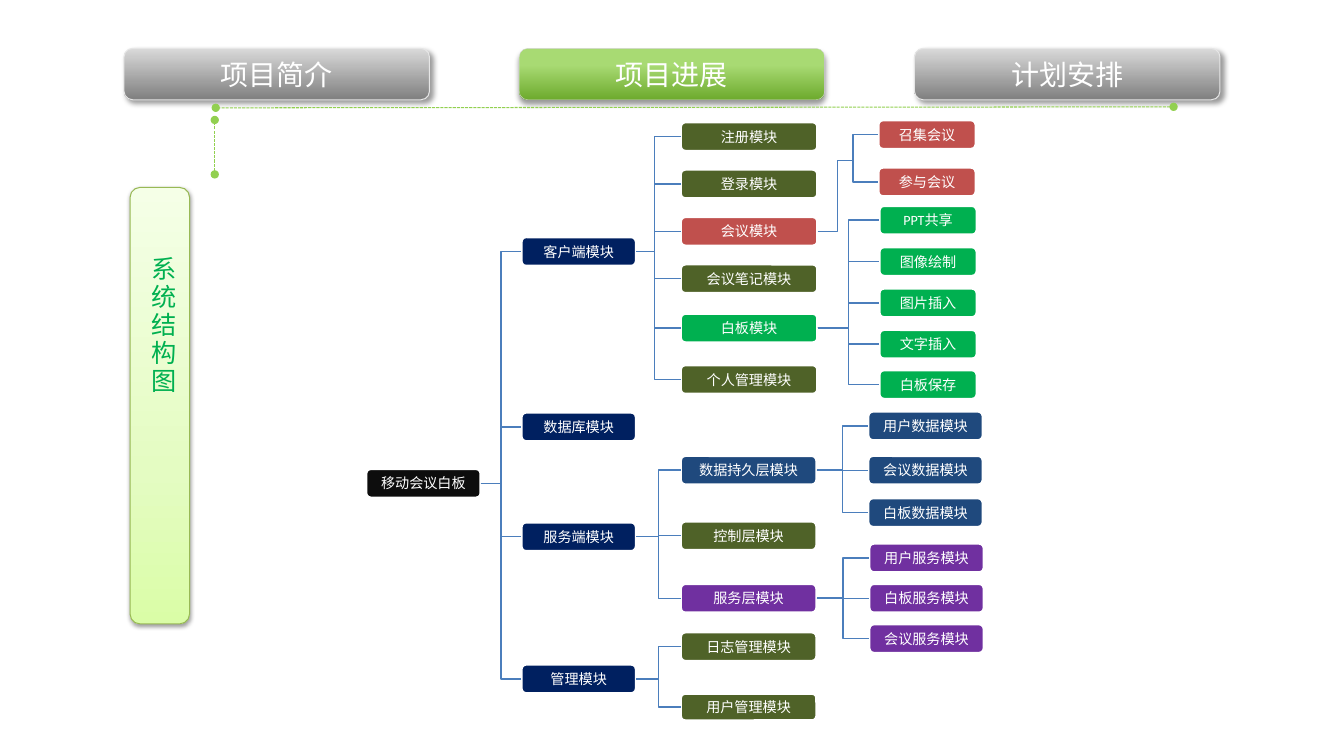
import lxml.etree
import pptx
import pptx.dml.color
import pptx.enum.dml
import pptx.enum.shapes
import pptx.enum.text
import pptx.oxml.ns
import pptx.util

PX = 9144
CJK = "Noto Sans CJK SC"
RIGHT_SITE, LEFT_SITE = 3, 1
NAVY, OLIVE, RED, GREEN, BLUE, PURPLE = "002060", "4F6228", "C0504D", "00B050", "1F497D", "7030A0"
GREY_FADE = [(0, "D9D9D9"), (100, "808080")]
GREEN_FADE = [(33, "A8DA73"), (100, "6DAA2D")]
LIME_FADE = [(0, "F5FFE7"), (65, "E4FCC2"), (100, "DAFDA7")]


def rgb(value):
    return pptx.dml.color.RGBColor.from_string(value)


def add(parent, tag, **attrs):
    child = lxml.etree.SubElement(parent, pptx.oxml.ns.qn(tag))
    for key, value in attrs.items():
        child.set(key, str(value))
    return child


class Deck:
    def __init__(self):
        self.prs = pptx.Presentation()
        self.prs.slide_width, self.prs.slide_height = 1333 * PX, 750 * PX
        self.s = self.prs.slides.add_slide(self.prs.slide_layouts[5])

    def label(self, sp, text, size, color, font):
        p = sp.text_frame.paragraphs[0]
        p.text = text
        p.alignment = pptx.enum.text.PP_ALIGN.CENTER
        p.font.size = pptx.util.Pt(size)
        p.font.bold = False
        p.font.color.rgb = rgb(color)
        p.font.name = font
        if font == CJK:
            add(p.font._element, "a:ea", typeface=font)
        return p

    def box(self, x, y, w, h, line, weight):
        sp = self.s.shapes.add_shape(
            pptx.enum.shapes.MSO_SHAPE.ROUNDED_RECTANGLE, x * PX, y * PX, w * PX, h * PX)
        sp.line.color.rgb = rgb(line)
        sp.line.width = pptx.util.Pt(weight)
        sp.shadow.inherit = False
        tf = sp.text_frame
        tf.word_wrap = True
        tf.vertical_anchor = pptx.enum.text.MSO_ANCHOR.MIDDLE
        return sp

    def glossy(self, x, y, w, h, fade, line, weight, blur, distance, angle, alpha):
        sp = self.box(x, y, w, h, line, weight)
        sp.fill.gradient()
        sp.fill.gradient_angle = 270
        stops = sp._element.xpath(".//a:gsLst")[0]
        for stop in list(stops):
            stops.remove(stop)
        for position, color in fade:
            add(add(stops, "a:gs", pos=position * 1000), "a:srgbClr", val=color)
        effects = sp._element.xpath("./p:spPr/a:effectLst")[0]
        shadow = add(effects, "a:outerShdw", blurRad=int(pptx.util.Pt(blur)),
                     dist=int(pptx.util.Pt(distance)), dir=angle * 60000, algn="ctr", rotWithShape=0)
        add(add(shadow, "a:srgbClr", val="000000"), "a:alpha", val=alpha * 1000)
        return sp

    def tab(self, x, text, fade, line, weight, angle):
        sp = self.glossy(x, 48, 303, 51, fade, line, weight, 4, 3, angle, 40)
        self.label(sp, text, 20, "FFFFFF", CJK)

    def vertical_title(self, x, y, w, h, text):
        sp = self.s.shapes.title
        self.s.shapes._spTree.append(sp._element)
        sp.left, sp.top, sp.width, sp.height = x * PX, y * PX, w * PX, h * PX
        tf = sp.text_frame
        tf.word_wrap = True
        tf.auto_size = pptx.enum.text.MSO_AUTO_SIZE.SHAPE_TO_FIT_TEXT
        tf.vertical_anchor = pptx.enum.text.MSO_ANCHOR.TOP
        sp._element.xpath("./p:txBody/a:bodyPr")[0].set("vert", "eaVert")
        p = self.label(sp, text, 18, GREEN, CJK)
        p.font._element.set("spc", "200")

    def line(self, kind, x1, y1, x2, y2, color, weight):
        c = self.s.shapes.add_connector(kind, x1 * PX, y1 * PX, x2 * PX, y2 * PX)
        c.line.color.rgb = rgb(color)
        c.line.width = pptx.util.Pt(weight)
        add(c._element.spPr, "a:effectLst")
        return c

    def dotted(self, x1, y1, x2, y2):
        c = self.line(pptx.enum.shapes.MSO_CONNECTOR.STRAIGHT, x1, y1, x2, y2, "92D050", 0.75)
        c.line.dash_style = pptx.enum.dml.MSO_LINE.SQUARE_DOT
        ln = c._element.xpath("./p:spPr/a:ln")[0]
        add(ln, "a:headEnd", type="oval")
        add(ln, "a:tailEnd", type="oval")

    def elbow(self, x1, y1, x2, y2, bend=50):
        c = self.line(pptx.enum.shapes.MSO_CONNECTOR.ELBOW, x1, y1, x2, y2, "4B7EBC", 1)
        guides = c._element.xpath(".//a:avLst")[0]
        add(guides, "a:gd", name="adj1", fmla=f"val {bend * 1000}")
        return c

    def node(self, text, x, y, w, fill, h=29):
        sp = self.box(x, y, w, h, "FFFFFF", 2)
        sp.fill.solid()
        sp.fill.fore_color.rgb = rgb(fill)
        tf = sp.text_frame
        tf.margin_left = tf.margin_right = 6 * PX
        tf.margin_top = tf.margin_bottom = 3 * PX
        self.label(sp, text, 10.1, "FFFFFF", "Calibri")
        return sp

    def branch(self, parent, x, w, children, bend=50, junction=None):
        nodes = {}
        for text, y, fill, *height in children:
            sp = nodes[text] = self.node(text, x, y, w, fill, *height)
            if junction:
                c = self.elbow(*junction, x, y + 14, 0)
            else:
                c = self.elbow(0, 0, x, y + 14, bend)
                c.begin_connect(parent, RIGHT_SITE)
            c.end_connect(sp, LEFT_SITE)
        return nodes


def main():
    deck = Deck()
    deck.tab(515, "项目进展", GREEN_FADE, "D7D7D7", 0.25, 90)
    for x, text in [(123, "项目简介"), (907, "计划安排")]:
        deck.tab(x, text, GREY_FADE, "E6E6E6", 0.75, 45)
    deck.glossy(129, 186, 59, 433, LIME_FADE, "98B955", 0.75, 3.1, 1.6, 90, 38)
    deck.vertical_title(137, 249, 50, 315, "系统结构图")
    deck.dotted(213, 173, 213, 119)
    deck.dotted(1164, 106, 214, 107)

    root = deck.node("移动会议白板", 363, 465, 114, "0D0D0D")
    parts = deck.branch(root, 517, 114, [
        ("客户端模块", 235, NAVY), ("数据库模块", 409, NAVY),
        ("服务端模块", 518, NAVY), ("管理模块", 659, NAVY)])
    client = deck.branch(parts["客户端模块"], 675, 136, [
        ("注册模块", 121, OLIVE), ("登录模块", 168, OLIVE), ("会议模块", 215, RED),
        ("会议笔记模块", 262, OLIVE), ("白板模块", 311, GREEN), ("个人管理模块", 362, OLIVE)], bend=41)
    server = deck.branch(parts["服务端模块"], 675, 135, [
        ("数据持久层模块", 452, BLUE), ("控制层模块", 517, OLIVE), ("服务层模块", 579, PURPLE)])
    deck.branch(parts["管理模块"], 675, 135, [
        ("日志管理模块", 627, OLIVE), ("用户管理模块", 688, OLIVE, 27)])

    meeting_junction = (846, 159)
    stem = deck.elbow(811, 229, *meeting_junction, 57)
    stem.begin_connect(client["会议模块"], RIGHT_SITE)
    deck.branch(client["会议模块"], 871, 97, [
        ("召集会议", 119, RED), ("参与会议", 166, RED)], junction=meeting_junction)
    deck.branch(client["白板模块"], 872, 97, [
        ("PPT共享", 204, GREEN), ("图像绘制", 245, GREEN), ("图片插入", 286, GREEN),
        ("文字插入", 327, GREEN), ("白板保存", 367, GREEN)])
    deck.branch(server["数据持久层模块"], 861, 114, [
        ("用户数据模块", 408, BLUE), ("会议数据模块", 452, BLUE), ("白板数据模块", 494, BLUE)])
    deck.branch(server["服务层模块"], 862, 114, [
        ("用户服务模块", 539, PURPLE), ("白板服务模块", 579, PURPLE), ("会议服务模块", 619, PURPLE)])

    deck.prs.save("out.pptx")


if __name__ == "__main__":
    main()
